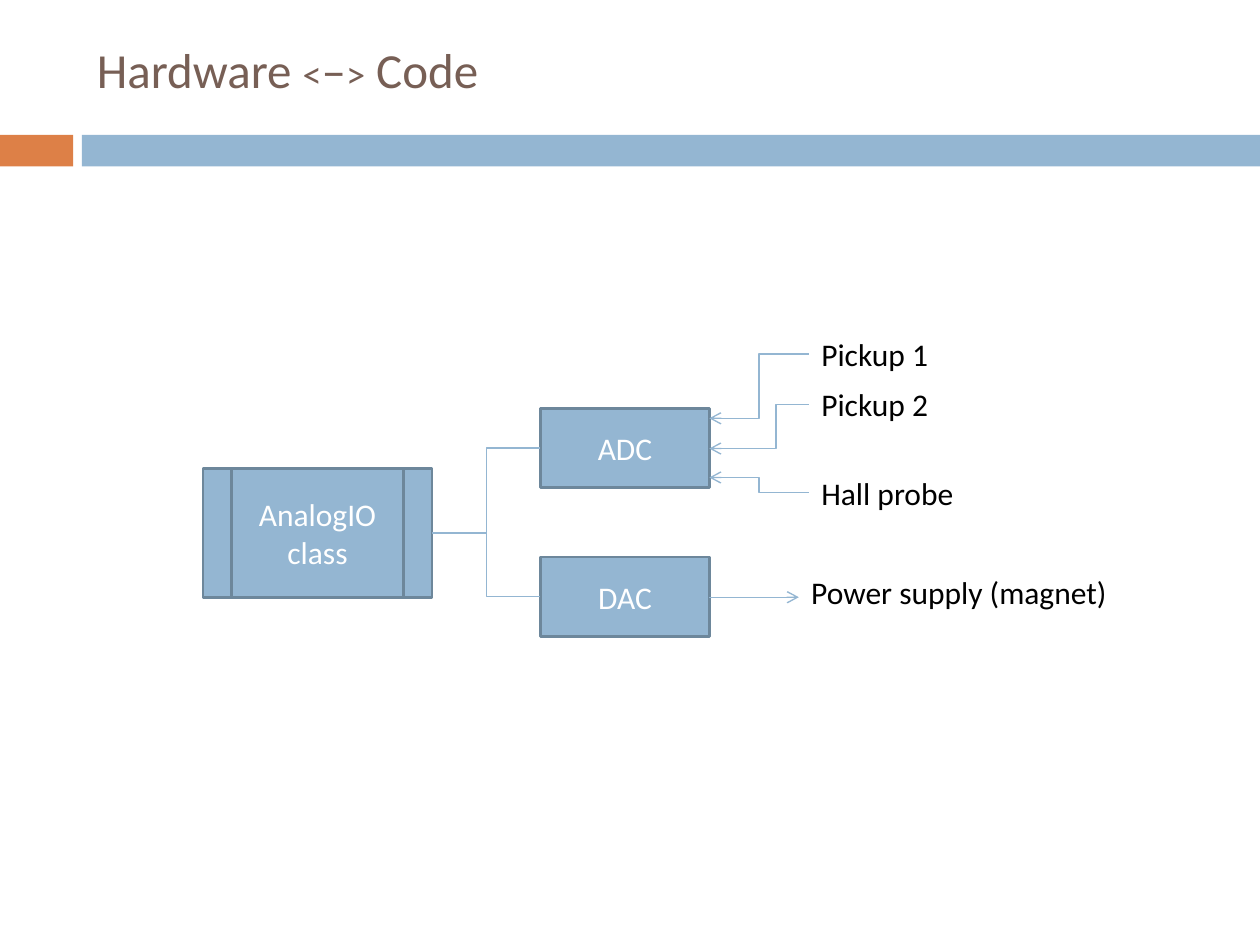
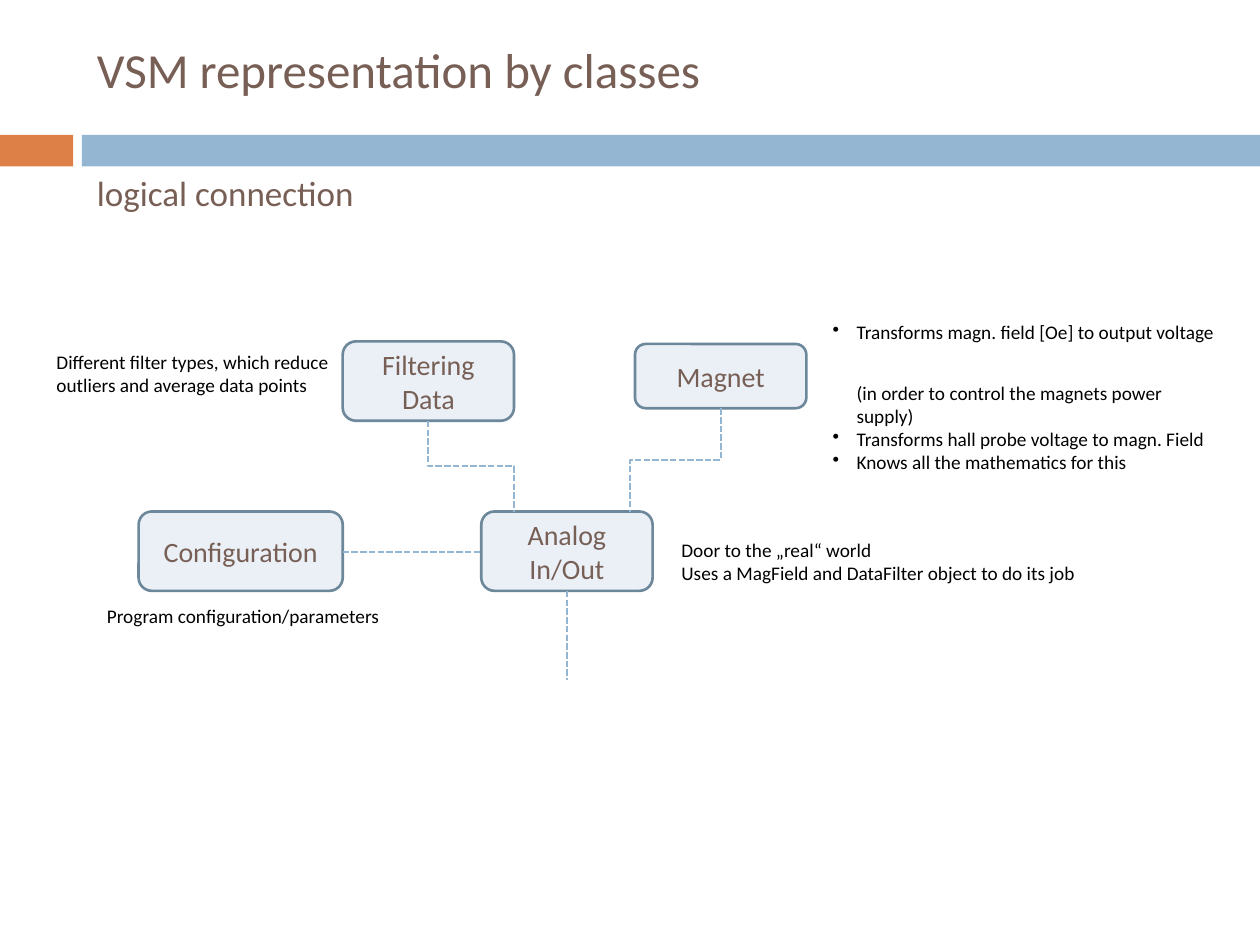
from dataclasses import dataclass
from pptx import Presentation
from pptx.dml.color import RGBColor as RGB
from pptx.enum.dml import MSO_LINE as Dash
from pptx.enum.shapes import MSO_CONNECTOR as Link, MSO_SHAPE as Shape
from pptx.enum.text import MSO_ANCHOR as Anchor, PP_ALIGN as Align
from pptx.oxml.ns import qn
from pptx.util import Inches, Pt
from lxml.etree import SubElement as Sub


@dataclass(frozen=True)
class Theme:
    font: str = "Calibri"
    blue: str = "94B6D2"
    pale: str = "EAF0F6"
    edge: str = "6D879B"
    rust: str = "DD8047"
    brown: str = "775F55"
    black: str = "000000"
    white: str = "FFFFFF"
    title: int = 28
    sign: int = 22
    head: int = 20
    label: int = 18
    node: int = 16
    note: int = 11
    border: float = 1.5
    thin: float = 0.79
    dash: float = 1.25


COLS, ROWS = 100, 75
CELL = Inches(0.1)


def grid(*cells):
    return [round(n * CELL) for n in cells]


def write(frame, paras, size, color, font, align=Align.LEFT,
          anchor=Anchor.TOP, wrap=True, bullet=False):
    frame.word_wrap = wrap
    frame.vertical_anchor = anchor
    for i, runs in enumerate(paras):
        para = frame.paragraphs[0] if i == 0 else frame.add_paragraph()
        para.alignment = align
        if bullet:
            props = para._p.get_or_add_pPr()
            props.set("marL", str(Inches(0.19)))
            props.set("indent", str(-Inches(0.19)))
            Sub(props, qn("a:buChar"), char="•")
        for part in [(runs, size)] if isinstance(runs, str) else runs:
            words, points = part
            for j, line in enumerate(words.split("\n")):
                if j:
                    para.add_line_break()
                run = para.add_run()
                run.text = line
                run.font.name = font
                run.font.size = Pt(points)
                run.font.color.rgb = RGB.from_string(color)


class Deck:
    def __init__(self, theme):
        self.theme = theme
        self.file = Presentation()
        self.file.slide_width, self.file.slide_height = grid(COLS, ROWS)

    def page(self, title):
        t = self.theme
        self.slide = self.file.slides.add_slide(self.file.slide_layouts[6])
        self.shape(Shape.RECTANGLE, (0, 10.7, 5.8, 2.5), t.rust)
        self.shape(Shape.RECTANGLE, (6.5, 10.7, COLS - 6.5, 2.5), t.blue)
        self.text((6.7, 2.5, 89.2, 5.9), [title], size=t.title,
                  color=t.brown, anchor=Anchor.MIDDLE)

    def shape(self, kind, area, fill, edge=None):
        item = self.slide.shapes.add_shape(kind, *grid(*area))
        item.shadow.inherit = False
        item.fill.solid()
        item.fill.fore_color.rgb = RGB.from_string(fill)
        if edge:
            item.line.color.rgb = RGB.from_string(edge)
            item.line.width = Pt(self.theme.border)
        else:
            item.line.fill.background()
        return item

    def node(self, kind, area, paras, fill, size, color):
        item = self.shape(kind, area, fill, self.theme.edge)
        write(item.text_frame, paras, size, color, self.theme.font,
              align=Align.CENTER, anchor=Anchor.MIDDLE)

    def block(self, area, *paras, kind=Shape.RECTANGLE):
        t = self.theme
        self.node(kind, area, paras, t.blue, t.label, t.white)

    def card(self, area, *paras):
        t = self.theme
        self.node(Shape.ROUNDED_RECTANGLE, area, paras, t.pale, t.node, t.brown)

    def text(self, area, paras, size, color=None, **form):
        box = self.slide.shapes.add_textbox(*grid(*area))
        write(box.text_frame, paras, size, color or self.theme.black,
              self.theme.font, **form)

    def line(self, start, end, kind=Link.STRAIGHT, dash=False, arrow=False,
             bend=None):
        t = self.theme
        link = self.slide.shapes.add_connector(kind, *grid(*start, *end))
        link.line.color.rgb = RGB.from_string(t.blue)
        link.line.width = Pt(t.dash if dash else t.thin)
        if dash:
            link.line.dash_style = Dash.SQUARE_DOT
        props = link._element.spPr
        if arrow:
            Sub(link.line._get_or_add_ln(), qn("a:tailEnd"), type="arrow")
        if bend:
            geom = props.find(qn("a:prstGeom"))
            for old in list(geom):
                geom.remove(old)
            Sub(Sub(geom, qn("a:avLst")), qn("a:gd"), name="adj1",
                fmla=f"val {round(bend * 100000)}")
        Sub(props, qn("a:effectLst"))
        return link

    def elbow(self, start, end, arrow=False, bend=0.5):
        self.line(start, end, Link.ELBOW, arrow=arrow, bend=bend)

    def drop(self, start, end):
        (x, y), (u, v) = start, end
        mx, my, dx, dy = (x + u) / 2, (y + v) / 2, u - x, v - y
        link = self.line((mx - dy / 2, my + dx / 2), (mx + dy / 2, my - dx / 2),
                         Link.ELBOW, dash=True, bend=0.5)
        link._element.spPr.find(qn("a:xfrm")).set("rot", str(90 * 60000))


def wiring(deck):
    t = deck.theme
    deck.page([("Hardware ", t.title), ("<", t.sign), ("–", t.title),
               (">", t.sign), (" Code ", t.title)])
    deck.block((16.1, 37.2, 18.2, 10.2), "AnalogIO", "class",
               kind=Shape.FLOWCHART_PREDEFINED_PROCESS)
    left, wide, tall = 42.9, 13.4, 6.3
    right = left + wide
    for name, top in (("ADC", 32.4), ("DAC", 44.2)):
        deck.block((left, top, wide, tall), name)
        deck.elbow((34.3, 42.3), (left, top + tall / 2))
    for name, top, width, port, bend in (
            ("Pickup 1", 26.1, 10.6, 33.2, 0.5),
            ("Pickup 2", 30.1, 10.6, 35.6, 0.33),
            ("Hall probe", 37.1, 12.6, 37.9, 0.5)):
        deck.text((64.2, top, width, 4), [name], size=t.label, wrap=False)
        deck.elbow((64.2, top + 2), (right, port), arrow=True, bend=bend)
    deck.text((63.4, 45, 25.7, 4), ["Power supply (magnet)"], size=t.label,
              wrap=False)
    deck.line((right, 47.4), (63.4, 47.4), arrow=True)


def model(deck):
    t = deck.theme
    deck.page("VSM representation by classes")
    deck.text((6.7, 13.1, 78, 4.7), ["logical connection"], size=t.head,
              color=t.brown)
    wide, tall, base = 13.6, 6.3, 40.6
    deck.card((38.2, base, wide, tall), "Analog", "In/Out")
    deck.card((27.2, 27.1, wide, tall), "Filtering Data")
    deck.card((50.4, 27.3, wide, 5.1), "Magnet")
    deck.card((11, base, 16.2, tall), "Configuration")
    deck.drop((57.2, 32.4), (50, base))
    deck.drop((34, 33.4), (40.8, base))
    deck.line((45, base + tall), (45, 54), dash=True)
    deck.line((27.2, 43.8), (38.2, 43.8), dash=True)
    deck.text((53.1, 42.2, 33.6, 4.7),
              ["Door to the „real“ world",
               "Uses a MagField and DataFilter object to do its job"],
              size=t.note, wrap=False)
    deck.text((65.1, 24.9, 32.5, 12.1),
              ["Transforms magn. field [Oe] to output voltage \n"
               "(in order to control the magnets power supply)",
               "Transforms hall probe voltage to magn. Field",
               "Knows all the mathematics for this"],
              size=t.note, bullet=True)
    deck.text((3.5, 27.3, 23.6, 8.4),
              ["Different filter types, which reduce ",
               "outliers and average data points"],
              size=t.note, wrap=False)
    deck.text((7.5, 47.5, 24.5, 2.9), ["Program configuration/parameters"],
              size=t.note, wrap=False)


deck = Deck(Theme())
wiring(deck)
model(deck)
deck.file.save("out.pptx")
